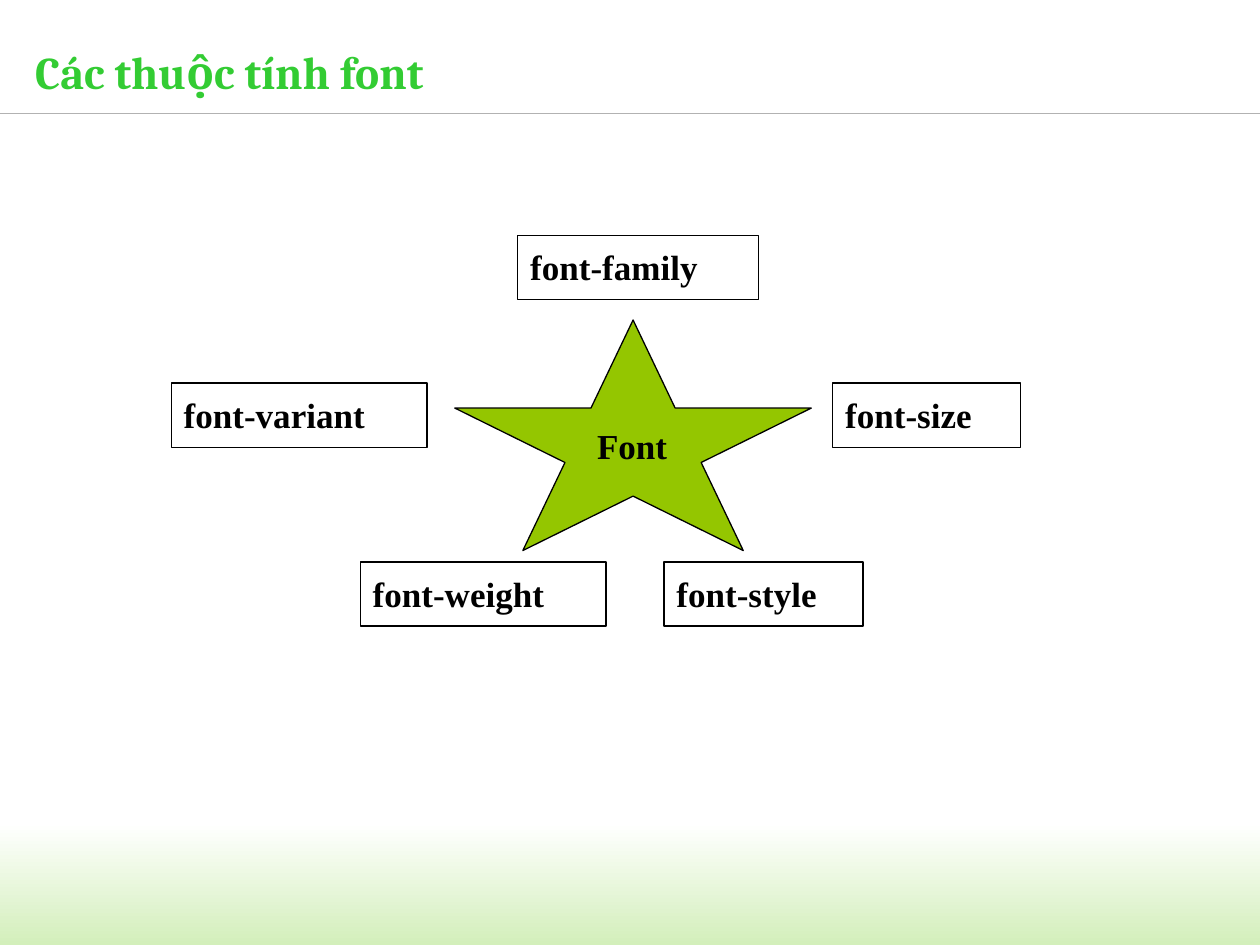
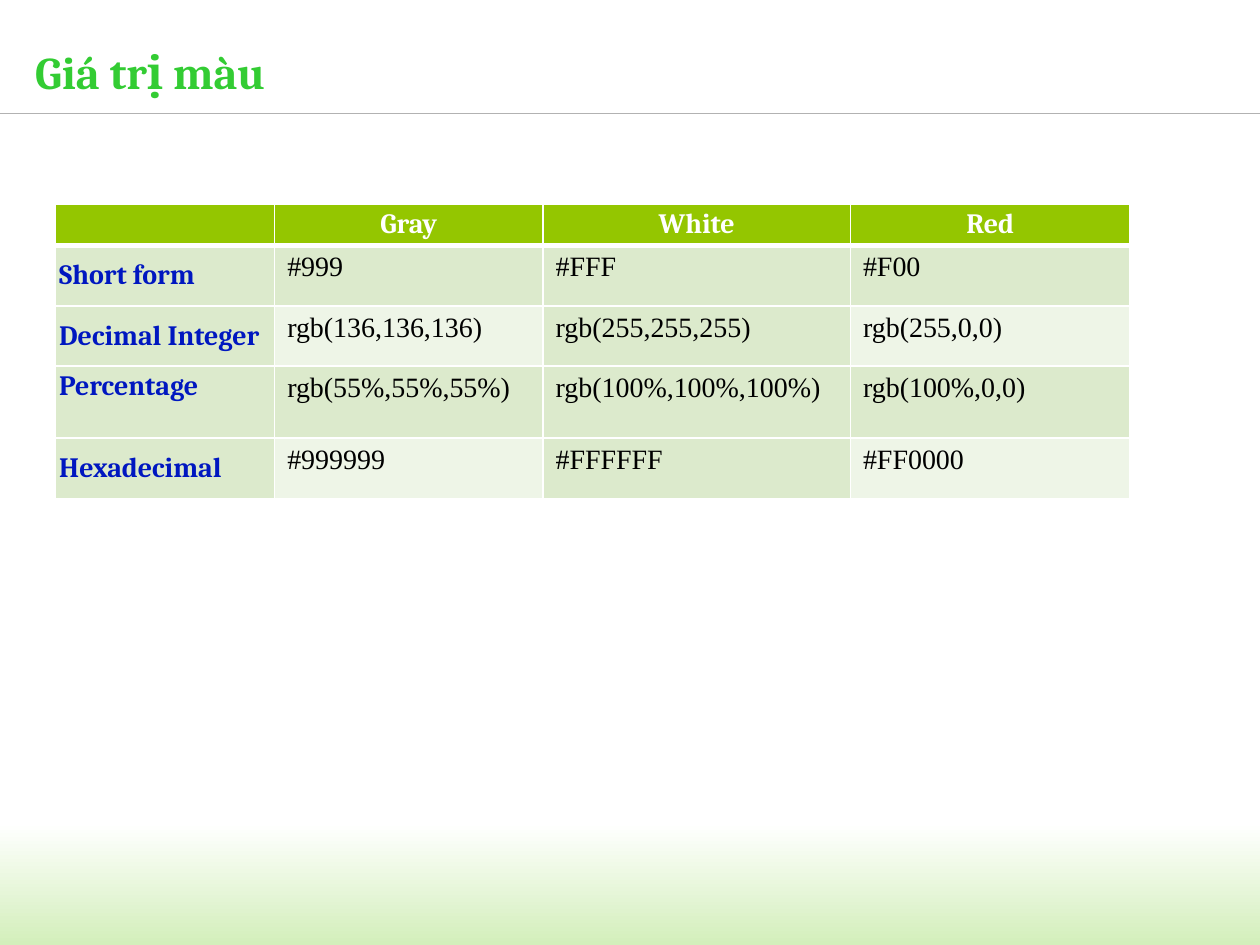
from lxml import etree
from pptx import Presentation
from pptx.dml.color import RGBColor
from pptx.enum.shapes import MSO_CONNECTOR, MSO_SHAPE
from pptx.enum.text import MSO_ANCHOR, PP_ALIGN
from pptx.oxml.ns import qn
from pptx.util import Inches, Pt

RECT, STAR = MSO_SHAPE.RECTANGLE, MSO_SHAPE.STAR_5_POINT
LINE = MSO_CONNECTOR.STRAIGHT
TOP, MIDDLE = MSO_ANCHOR.TOP, MSO_ANCHOR.MIDDLE
LEFT, CENTER = PP_ALIGN.LEFT, PP_ALIGN.CENTER

WHITE = RGBColor(0xFF, 0xFF, 0xFF)
BLACK = RGBColor(0, 0, 0)
GREEN = RGBColor(0x33, 0xCC, 0x33)
LIME = RGBColor(0x94, 0xC6, 0x00)
MIST = RGBColor(0xD3, 0xEF, 0xBB)
GRAY = RGBColor(0xB2, 0xB2, 0xB2)
BLUE = RGBColor(0x00, 0x17, 0xC0)
SAGE = RGBColor(0xDC, 0xEA, 0xCC)
PALE = RGBColor(0xEE, 0xF5, 0xE7)

HEAD, BODY = "Cambria", "Times New Roman"
WIDE, HIGH = 10, 7.5

LABELS = [
    ("font-family", 2.75, 0, 1.91),
    ("font-size", 5.25, 1.17, 1.49),
    ("font-style", 3.91, 2.59, 1.58),
    ("font-weight", 1.5, 2.59, 1.95),
    ("font-variant", 0, 1.17, 2.03),
]

COLS = [1.74, 2.13, 2.44, 2.22]
ROWS = [0.31, 0.48, 0.48, 0.57, 0.48]
VALUES = [
    ["", "Gray", "White", "Red"],
    ["Short form", "#999", "#FFF", "#F00"],
    ["Decimal Integer", "rgb(136,136,136)", "rgb(255,255,255)", "rgb(255,0,0)"],
    ["Percentage", "rgb(55%,55%,55%)", "rgb(100%,100%,100%)", "rgb(100%,0,0)"],
    ["Hexadecimal", "#999999", "#FFFFFF", "#FF0000"],
]


def inches(*sizes):
    return [Inches(size) for size in sizes]


def inset(part, side, top):
    """Set the margins of a text frame or a table cell."""
    part.margin_left = part.margin_right = Inches(side)
    part.margin_top = part.margin_bottom = Inches(top)


def write(frame, text, size, font, color, bold=True, align=LEFT):
    para = frame.paragraphs[0]
    para.alignment = align
    if not text:
        end = etree.SubElement(para._p, qn("a:endParaRPr"))
        end.set("sz", str(size * 100))
        return
    run = para.add_run()
    run.text = text
    run.font.size = Pt(size)
    run.font.name = font
    run.font.bold = bold
    run.font.color.rgb = color


def add_text(slide, box, text, size, font, color, side=0.1, top=0.08, anchor=TOP):
    area = slide.shapes.add_textbox(*inches(*box))
    frame = area.text_frame
    frame.word_wrap = True
    frame.vertical_anchor = anchor
    inset(frame, side, top)
    write(frame, text, size, font, color)
    return area


def outline(shape):
    shape.line.color.rgb = BLACK
    shape.line.width = Pt(0.75)


def add_base(deck, title):
    """Add a slide with the bottom band, the rule and the title."""
    slide = deck.slides.add_slide(deck.slide_layouts[6])
    band = slide.shapes.add_shape(RECT, *inches(-0.03, 6.53, WIDE + 0.03, 0.97))
    band.shadow.inherit = False
    band.line.fill.background()
    band.fill.gradient()
    band.fill.gradient_angle = 270
    for stop, color in zip(band.fill.gradient_stops, (WHITE, MIST)):
        stop.color.rgb = color

    rule = slide.shapes.add_connector(LINE, *inches(0, 0.9, WIDE, 0.9))
    rule.line.color.rgb = GRAY
    rule.line.width = Pt(0.75)
    etree.SubElement(rule._element.spPr, qn("a:effectLst"))

    add_text(slide, (0.28, 0.25, 9.37, 0.64), title, 26, HEAD, GREEN, 0, 0, MIDDLE)
    return slide


def add_star(slide, x, y):
    """Draw the star with its ring of property labels."""
    star = slide.shapes.add_shape(STAR, *inches(x + 2.25, y + 0.67, 2.83, 1.83))
    star.shadow.inherit = False
    star.fill.solid()
    star.fill.fore_color.rgb = LIME
    outline(star)
    for text, dx, dy, width in LABELS:
        outline(add_text(slide, (x + dx, y + dy, width, 0.51), text, 20, BODY, BLACK))
    add_text(slide, (x + 3.28, y + 1.42, 0.97, 0.5), "Font", 20, BODY, BLACK)


def add_edges(cell, bottom):
    """Draw white borders, the lower one as wide as bottom."""
    props = cell._tc.get_or_add_tcPr()
    for spot, (side, width) in enumerate(zip("LRTB", (1, 1, 1, bottom))):
        edge = etree.Element(qn("a:ln" + side), w=str(Pt(width)))
        fill = etree.SubElement(edge, qn("a:solidFill"))
        etree.SubElement(fill, qn("a:srgbClr"), val=str(WHITE))
        props.insert(spot, edge)


def fill_cell(cell, row, col, text):
    head, side = row == 0, col == 0
    pale = row % 2 == 0 and col % 2 == 1
    cell.fill.solid()
    cell.fill.fore_color.rgb = LIME if head else PALE if pale else SAGE
    add_edges(cell, 3 if head else 1)
    if head or side:
        inset(cell, 0.03, 0.03)
        color, align = (WHITE, CENTER) if head else (BLUE, LEFT)
        write(cell.text_frame, text, 16, HEAD, color, align=align)
    else:
        inset(cell, 0.1, 0.05)
        write(cell.text_frame, text, 16, BODY, BLACK, bold=False)
    middle = side and not head and text != "Percentage"
    cell.vertical_anchor = MIDDLE if middle else TOP


def add_grid(slide, x, y):
    """Draw the table of colour values."""
    box = inches(x, y, sum(COLS), sum(ROWS))
    grid = slide.shapes.add_table(len(ROWS), len(COLS), *box).table
    grid.first_row = grid.horz_banding = False
    for col, width in zip(grid.columns, COLS):
        col.width = Inches(width)
    for row, height in zip(grid.rows, ROWS):
        row.height = Inches(height)
    for row, texts in enumerate(VALUES):
        for col, text in enumerate(texts):
            fill_cell(grid.cell(row, col), row, col, text)


def main():
    deck = Presentation()
    deck.slide_width, deck.slide_height = inches(WIDE, HIGH)
    add_star(add_base(deck, "Các thuộc tính font"), 1.36, 1.87)
    add_grid(add_base(deck, "Giá trị màu"), 0.44, 1.62)
    deck.save("out.pptx")


if __name__ == "__main__":
    main()
